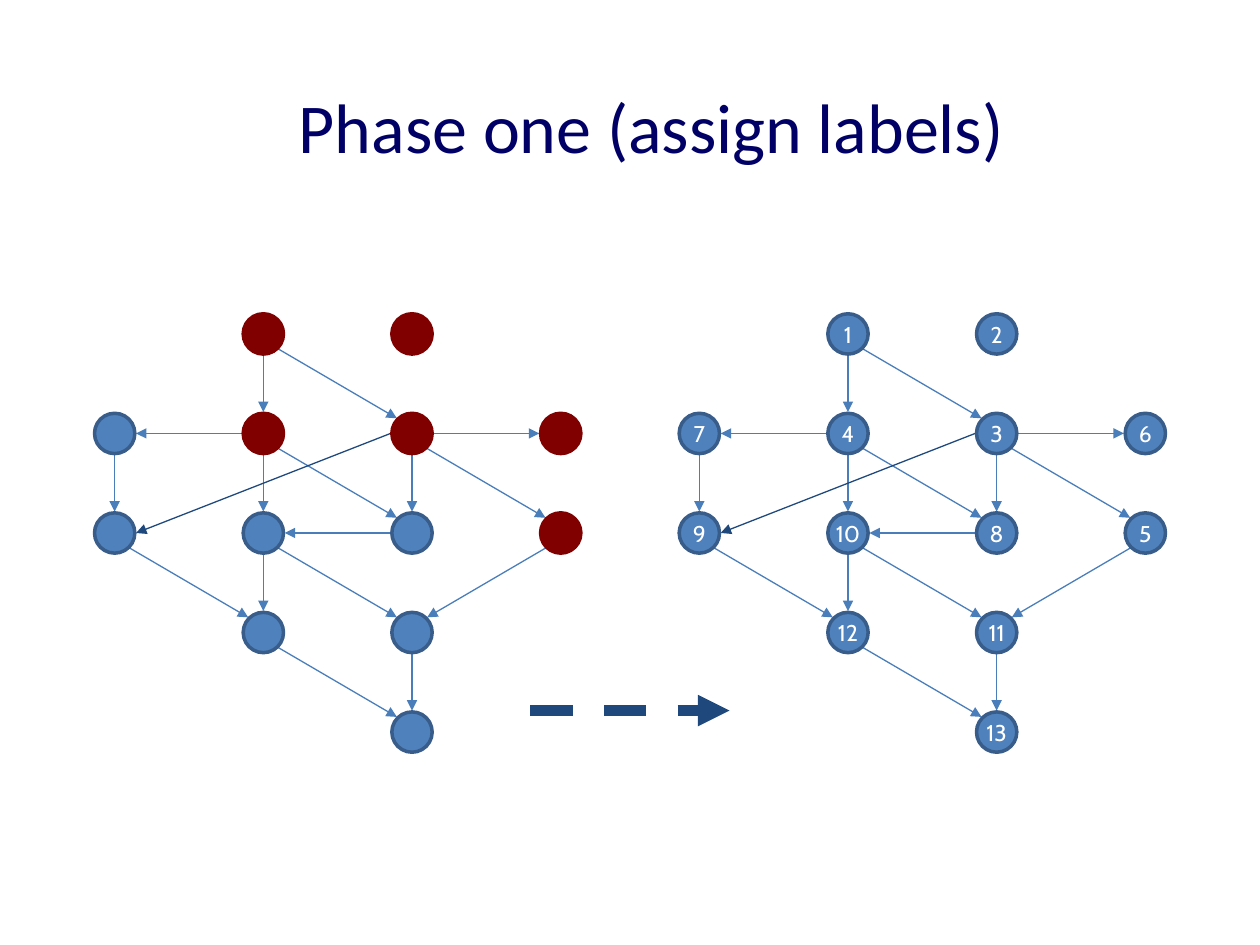
from math import copysign, sqrt

from lxml import etree
from pptx import Presentation
from pptx.dml.color import RGBColor
from pptx.enum import dml, shapes, text
from pptx.oxml.ns import qn
from pptx.util import Inches, Pt

TITLE = "Phase one (assign labels)"
# label: (column, row)
NODES = {
    1: (1, 0), 2: (2, 0),
    7: (0, 1), 4: (1, 1), 3: (2, 1), 6: (3, 1),
    9: (0, 2), 10: (1, 2), 8: (2, 2), 5: (3, 2),
    12: (1, 3), 11: (2, 3),
    13: (2, 4),
}
EDGES = [
    (1, 4), (1, 3), (4, 7), (4, 10), (4, 8), (3, 6), (3, 8), (3, 5), (7, 9),
    (8, 10), (9, 12), (10, 12), (10, 11), (5, 11), (11, 13), (12, 13), (3, 9),
]
LABELLED = {1, 2, 3, 4, 5, 6}
COLORS = {
    "title": "000066", "node": "4F81BD", "rim": "385D8A", "labelled": "800000",
    "edge": "4A7EBB", "dark": "1F497D", "label": "FFFFFF",
}
LEFT_GRAPH, RIGHT_GRAPH, TOP = 0.91, 5.55, 2.65
COLUMN_GAP, ROW_GAP = 1.18, 0.79
DIAMETER, REACH = 0.32, 0.17


def rgb(name):
    return RGBColor.from_string(COLORS[name])


def style_text(frame, font_name, size, color):
    frame.vertical_anchor = text.MSO_ANCHOR.MIDDLE
    paragraph = frame.paragraphs[0]
    paragraph.alignment = text.PP_ALIGN.CENTER
    font = paragraph.runs[0].font
    font.name, font.size = font_name, Pt(size)
    font.color.rgb = rgb(color)


def add_arrow(slide, start, end, color, width=0.75):
    arrow = slide.shapes.add_connector(
        shapes.MSO_CONNECTOR.STRAIGHT, *map(Inches, (*start, *end)))
    arrow.line.color.rgb = rgb(color)
    arrow.line.width = Pt(width)
    line = arrow.line._get_or_add_ln()
    etree.SubElement(line, qn("a:tailEnd"), type="triangle")
    etree.SubElement(arrow._element.spPr, qn("a:effectLst"))
    return arrow


def center(label, left):
    column, row = NODES[label]
    return left + column * COLUMN_GAP, TOP + row * ROW_GAP


def rim_offset(columns, rows):
    """Offset from a node's center to where an edge leaves it."""
    if columns == 0:
        return 0, copysign(REACH, rows)
    if rows == 0 or abs(columns) > 1:
        return copysign(REACH, columns), 0
    diagonal = REACH / sqrt(2)
    return copysign(diagonal, columns), copysign(diagonal, rows)


def add_edge(slide, source, target, left):
    columns, rows = (b - a for a, b in zip(NODES[source], NODES[target]))
    dx, dy = rim_offset(columns, rows)
    x1, y1 = center(source, left)
    x2, y2 = center(target, left)
    color = "dark" if abs(columns) > 1 else "edge"
    add_arrow(slide, (x1 + dx, y1 + dy), (x2 - dx, y2 - dy), color)


def add_node(slide, label, left, fill, rim, show_label):
    x, y = center(label, left)
    node = slide.shapes.add_shape(
        shapes.MSO_SHAPE.OVAL, Inches(x - DIAMETER / 2), Inches(y - DIAMETER / 2),
        Inches(DIAMETER), Inches(DIAMETER))
    node.shadow.inherit = False
    node.fill.solid()
    node.fill.fore_color.rgb = rgb(fill)
    node.line.color.rgb = rgb(rim)
    node.line.width = Pt(2)
    if show_label:
        frame = node.text_frame
        frame.margin_left = frame.margin_right = 0
        frame.word_wrap = True
        frame.text = str(label)
        style_text(frame, "Cabin", 13, "label")


def add_graph(slide, left, highlighted, show_labels):
    for source, target in EDGES:
        add_edge(slide, source, target, left)
    for label in NODES:
        fill, rim = (("labelled", "labelled") if label in highlighted
                     else ("node", "rim"))
        add_node(slide, label, left, fill, rim, show_labels)


def main():
    deck = Presentation()
    deck.slide_width, deck.slide_height = Inches(10), Inches(7.5)
    slide = deck.slides.add_slide(deck.slide_layouts[6])

    title = slide.shapes.add_textbox(*map(Inches, (0.67, 0.6, 9, 0.79))).text_frame
    title.word_wrap = True
    title.text = TITLE
    style_text(title, "Calibri", 40, "title")

    add_graph(slide, LEFT_GRAPH, LABELLED, show_labels=False)
    add_graph(slide, RIGHT_GRAPH, set(), show_labels=True)
    step = add_arrow(slide, (4.21, 5.64), (5.79, 5.64), "dark", width=6)
    step.line.dash_style = dml.MSO_LINE.DASH

    deck.save("out.pptx")


if __name__ == "__main__":
    main()
